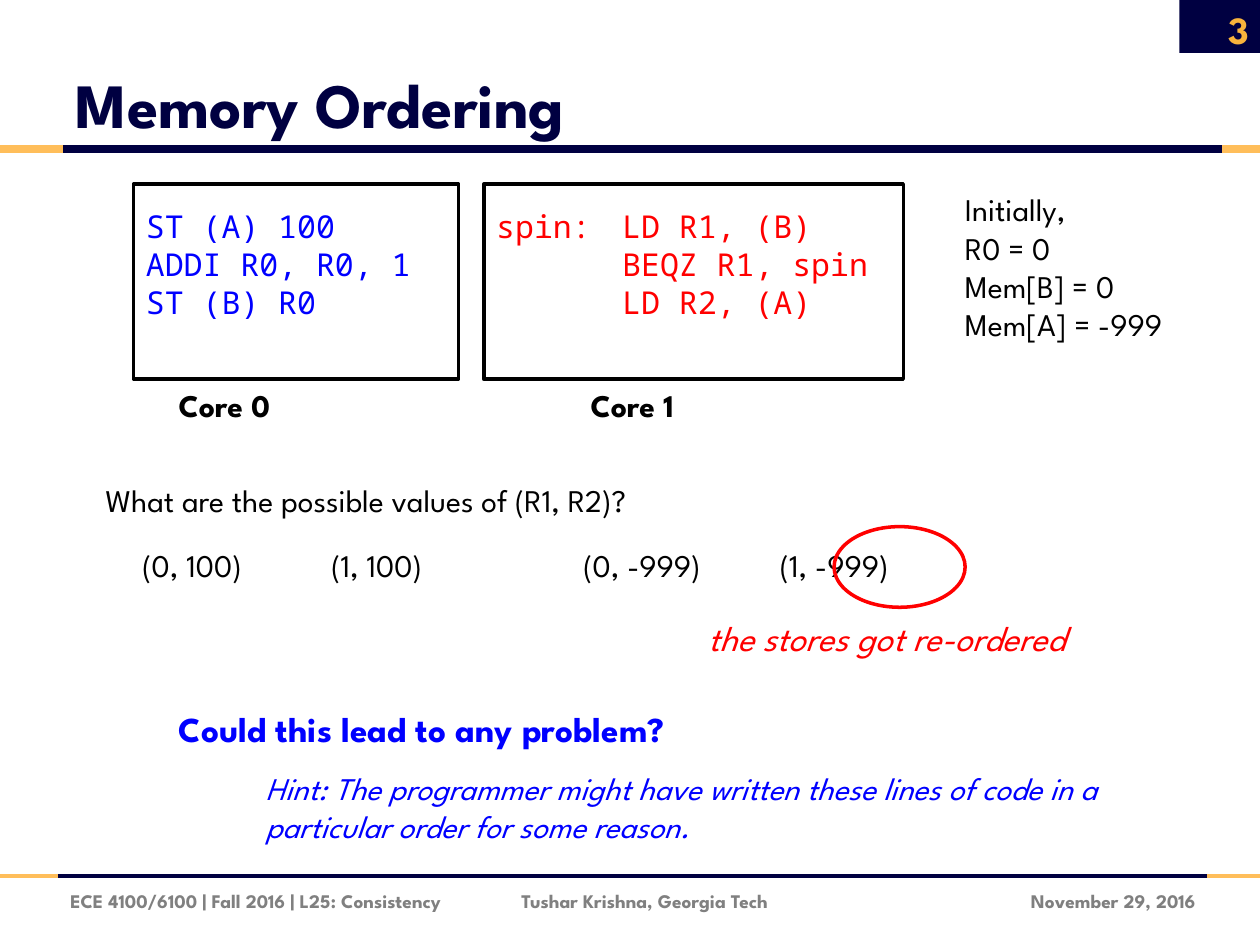
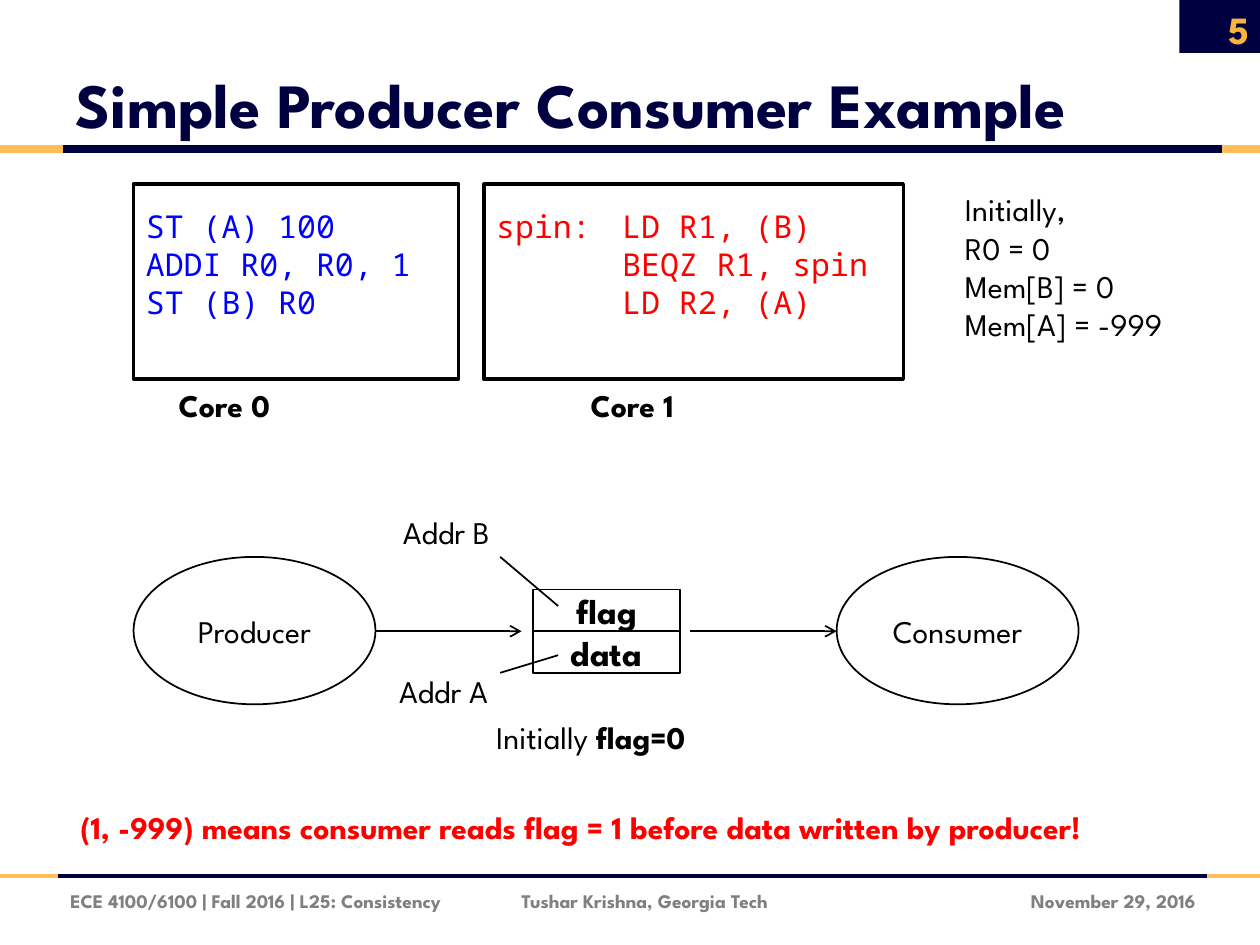
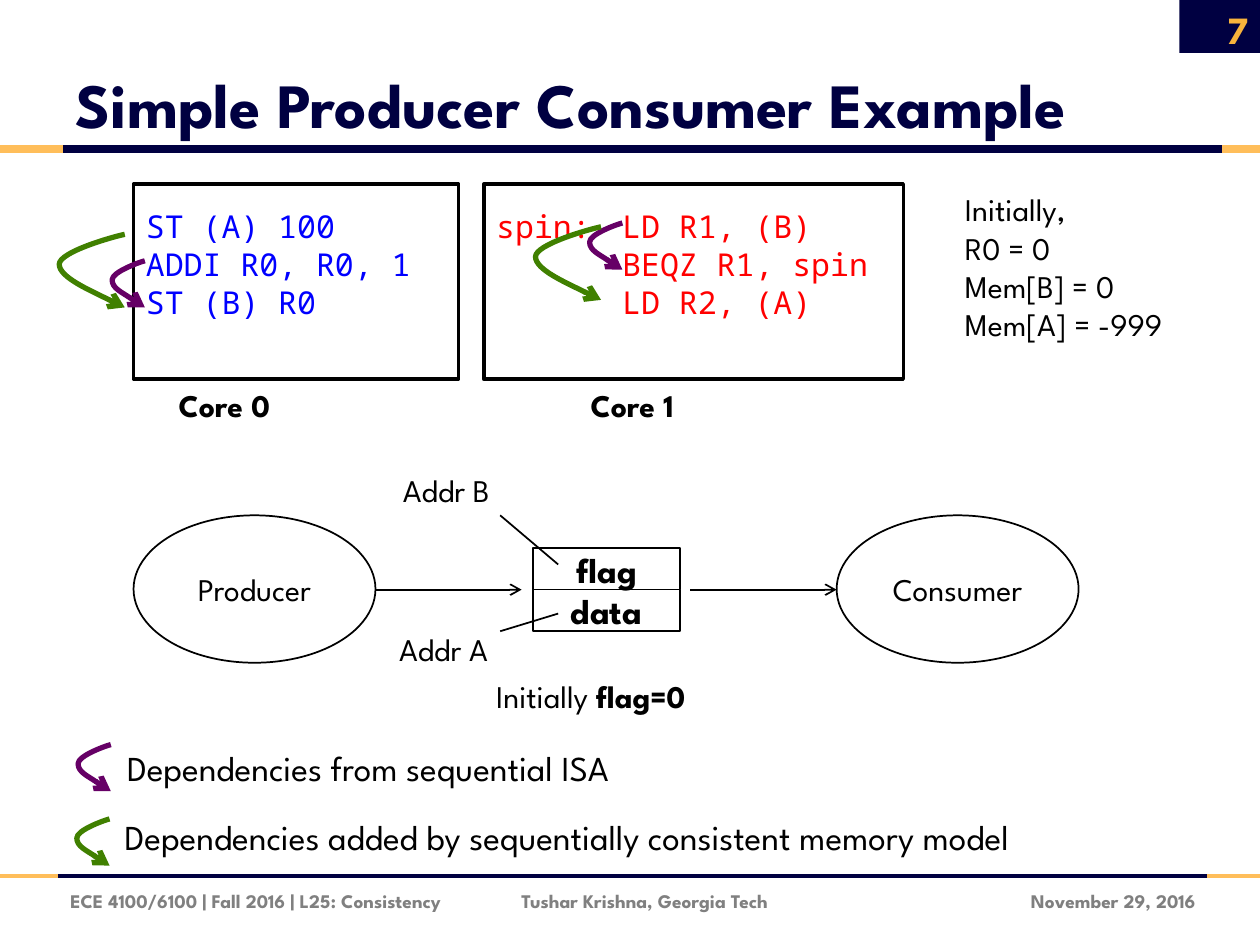
from pptx import Presentation
from pptx import util as u
from pptx.dml.color import RGBColor
from pptx.enum import shapes, text
from pptx.oxml.ns import qn
from lxml import etree

PX = 9144  # EMU; 100 px to the inch
COLORS = {
    "navy": "000041", "gold": "FFBE5A", "number": "F8B33C", "date": "7F7F7F",
    "footer": "808080", "black": "000000", "white": "FFFFFF", "red": "FF0000",
    "blue": "0000FF", "purple": "660066", "green": "408000",
}
SANS, MONO = "League Spartan", "Noto Sans Mono"
LINE_HEIGHT = 1.21
RECT, OVAL = shapes.MSO_SHAPE.RECTANGLE, shapes.MSO_SHAPE.OVAL
LEFT, CENTER, RIGHT = text.PP_ALIGN.LEFT, text.PP_ALIGN.CENTER, text.PP_ALIGN.RIGHT
TOP, MIDDLE, BOTTOM = (text.MSO_ANCHOR.TOP, text.MSO_ANCHOR.MIDDLE,
                       text.MSO_ANCHOR.BOTTOM)
INSETS = (10, 5, 10, 5)
# Control points of a hook bending left, as fractions of its width and height
HOOK = [(1, 0), (.83, .03), (0, .24), (0, .41), (0, .59), (1, 1), (1, 1)]
PURPLE_HOOK = dict(w=26, h=37, color="purple")
GREEN_HOOK = dict(w=52, h=58, color="green")


def rgb(name):
    return RGBColor.from_string(COLORS[name])


def px(*lengths):
    return [u.Emu(round(n * PX)) for n in lengths]


class Deck:
    def __init__(self):
        self.prs = Presentation()
        self.prs.slide_width, self.prs.slide_height = px(1000, 750)
        self.s = None

    def slide(self, title, number, title_w=908):
        """Start a slide with its title, bands, footer and number."""
        self.s = self.prs.slides.add_slide(self.prs.slide_layouts[5])
        self.shape(RECT, 936, 0, 68, 42, fill="navy")
        for y, left, right, weight in ((695, 46, 958, 2.25), (118, 50, 970, 4.5)):
            self.line(left, y, right, y, "navy", weight)
            self.line(0, y, left, y, "gold", weight)
            self.line(right, y, 1000, y, "gold", weight)
        sp = self.s.shapes.title
        sp.left, sp.top, sp.width, sp.height = px(50, 17, title_w, 100)
        self.set_text(sp, title, anchor=BOTTOM, size=36, bold=True, color="navy")
        self.text(767, 695, 192, 40, "November 29, 2016", anchor=MIDDLE,
                  align=RIGHT, size=11, bold=True, color="date")
        self.text(46, 695, 743, 40,
                  "ECE 4100/6100 | Fall 2016 | L25: Consistency\tTushar Krishna, Georgia Tech",
                  anchor=MIDDLE, tabs=(358,), size=11, bold=True, color="footer")
        self.text(934, 3, 67, 40, str(number), anchor=MIDDLE, align=RIGHT,
                  size=22, bold=True, color="number")

    def run(self, p, words, color="black", size=18, name=SANS, **fmt):
        r = p.add_run()
        r.text = words
        for key, value in dict(fmt, name=name, size=u.Pt(size)).items():
            setattr(r.font, key, value)
        r.font.color.rgb = rgb(color)

    def set_text(self, sp, words, anchor=TOP, align=LEFT, insets=INSETS, tabs=(),
                 size=18, **fmt):
        """Fill a shape with one paragraph per line of words."""
        tf = sp.text_frame
        settings = dict(zip(("margin_left", "margin_top", "margin_right",
                             "margin_bottom"), px(*insets)),
                        word_wrap=True, vertical_anchor=anchor,
                        auto_size=text.MSO_AUTO_SIZE.NONE)
        for key, value in settings.items():
            setattr(tf, key, value)
        for i, words_in_line in enumerate(words.split("\n")):
            p = tf.add_paragraph() if i else tf.paragraphs[0]
            p.alignment = align
            p.line_spacing = u.Pt(round(size * LINE_HEIGHT, 2))
            if tabs:
                tab_list = etree.SubElement(p._p.get_or_add_pPr(), qn("a:tabLst"))
                for stop in tabs:
                    etree.SubElement(tab_list, qn("a:tab"), pos=str(stop * PX), algn="l")
            self.run(p, words_in_line, size=size, **fmt)
        return sp

    def text(self, x, y, w, h, words, **fmt):
        return self.set_text(self.s.shapes.add_textbox(*px(x, y, w, h)), words, **fmt)

    def shape(self, kind, x, y, w, h, fill=None, line=None, weight=1):
        sp = self.s.shapes.add_shape(kind, *px(x, y, w, h))
        self.paint(sp, fill, line, weight)
        return sp

    def paint(self, sp, fill, line, weight):
        sp.shadow.inherit = False
        if fill:
            sp.fill.solid()
            sp.fill.fore_color.rgb = rgb(fill)
        else:
            sp.fill.background()
        if line:
            sp.line.color.rgb = rgb(line)
            sp.line.width = u.Pt(weight)
        else:
            sp.line.fill.background()

    def node(self, kind, x, y, w, h, label, **fmt):
        """Outlined shape with a centred label."""
        sp = self.shape(kind, x, y, w, h, "white", "black")
        self.set_text(sp, label, anchor=MIDDLE, align=CENTER, insets=(0, 0, 0, 0), **fmt)

    def arrowhead(self, sp):
        ln = sp._element.spPr.find(qn("a:ln"))
        etree.SubElement(ln, qn("a:tailEnd"), type="arrow")

    def line(self, x1, y1, x2, y2, color="black", weight=1, arrow=False):
        sp = self.s.shapes.add_connector(shapes.MSO_CONNECTOR.STRAIGHT,
                                         *px(x1, y1, x2, y2))
        sp.line.color.rgb = rgb(color)
        sp.line.width = u.Pt(weight)
        if arrow:
            self.arrowhead(sp)
        etree.SubElement(sp._element.spPr, qn("a:effectLst"))

    def hook(self, x, y, w, h, color):
        """Curved dependency arrow that leaves and returns on the right."""
        points = [px(x + fx * w, y + fy * h) for fx, fy in HOOK]
        builder = self.s.shapes.build_freeform(*points[0])
        builder.add_line_segments(points[1:], close=False)
        sp = builder.convert_to_shape()
        segments = list(sp._element.iter(qn("a:lnTo")))
        outline = segments[0].getparent()
        for i in range(0, len(segments), 3):
            curve = etree.SubElement(outline, qn("a:cubicBezTo"))
            for segment in segments[i:i + 3]:
                curve.append(segment[0])
                outline.remove(segment)
        self.paint(sp, None, color, 3)
        self.arrowhead(sp)

    def core(self, x, w, code, color, label, label_x):
        sp = self.shape(RECT, x, 146, w, 155, "white", "black", 2)
        self.set_text(sp, code, insets=(10, 18, 10, 5), tabs=(100,), name=MONO, color=color)
        self.text(label_x, 301, 136, 40, label, bold=True)

    def program(self):
        """The code of both cores and the starting values."""
        self.core(384, 333, "spin:\tLD R1, (B)\n\tBEQZ R1, spin\n\tLD R2, (A)",
                  "red", "Core 1", 459)
        self.core(106, 258, "ST (A) 100\nADDI R0, R0, 1\nST (B) R0",
                  "blue", "Core 0", 132)
        self.text(756, 146, 245, 131, "Initially,\nR0 = 0\nMem[B] = 0\nMem[A] = -999")

    def producer_consumer(self, top):
        middle = top + 59
        self.node(RECT, 423, middle, 117, 33, "data", size=20, bold=True)
        self.node(RECT, 423, middle - 33, 117, 33, "flag", size=20, bold=True)
        for x, label in ((106, "Producer"), (664, "Consumer")):
            self.node(OVAL, x, top, 192, 117, label)
        for x in (298, 548):
            self.line(x, middle, x + 116, middle, arrow=True)
        sp = self.text(384, top + 123, 184, 40, "Initially ")
        self.run(sp.text_frame.paragraphs[0], "flag=0", bold=True)
        self.text(310, top - 40, 133, 40, "Addr B")
        self.text(307, top + 86, 124, 40, "Addr A")
        self.line(397, top, 443, top + 39)
        self.line(397, top + 92, 443, top + 78)


def ordering_slide(deck):
    deck.slide("Memory Ordering", 3, title_w=818)
    deck.program()
    deck.text(74, 377, 547, 40, "What are the possible values of (R1, R2)?")
    deck.text(103, 428, 685, 40, "(0, 100)\t(1, 100)\t(0, -999)\t(1, -999)",
              tabs=(150, 350, 506))
    deck.text(552, 484, 382, 44, "the stores got re-ordered",
              size=20, color="red", italic=True)
    deck.shape(OVAL, 662, 418, 104, 64, line="red", weight=2)
    deck.text(132, 556, 702, 44, "Could this lead to any problem?",
              size=20, color="blue", bold=True)
    deck.text(201, 605, 701, 71,
              "Hint: The programmer might have written these lines of code in a "
              "particular order for some reason.", color="blue", italic=True)


def example_slide(deck):
    deck.slide("Simple Producer Consumer Example", 5)
    deck.program()
    deck.producer_consumer(442)
    deck.text(54, 636, 917, 40,
              "(1, -999) means consumer reads flag = 1 before data written by producer!",
              color="red", bold=True)


def dependencies_slide(deck):
    deck.slide("Simple Producer Consumer Example", 7)
    deck.program()
    deck.producer_consumer(409)
    for x, y in ((89, 207), (468, 177)):
        deck.hook(x, y, **PURPLE_HOOK)
    for x, y in ((47, 186), (425, 180)):
        deck.hook(x, y, **GREEN_HOOK)
    deck.hook(62, 591, **PURPLE_HOOK)
    deck.hook(61, 650, **dict(PURPLE_HOOK, color="green"))
    deck.text(91, 587, 488, 44, "Dependencies from sequential ISA", size=20)
    deck.text(89, 642, 911, 44,
              "Dependencies added by sequentially consistent memory model", size=20)


def main():
    deck = Deck()
    for build in (ordering_slide, example_slide, dependencies_slide):
        build(deck)
    deck.prs.save("out.pptx")


if __name__ == "__main__":
    main()
